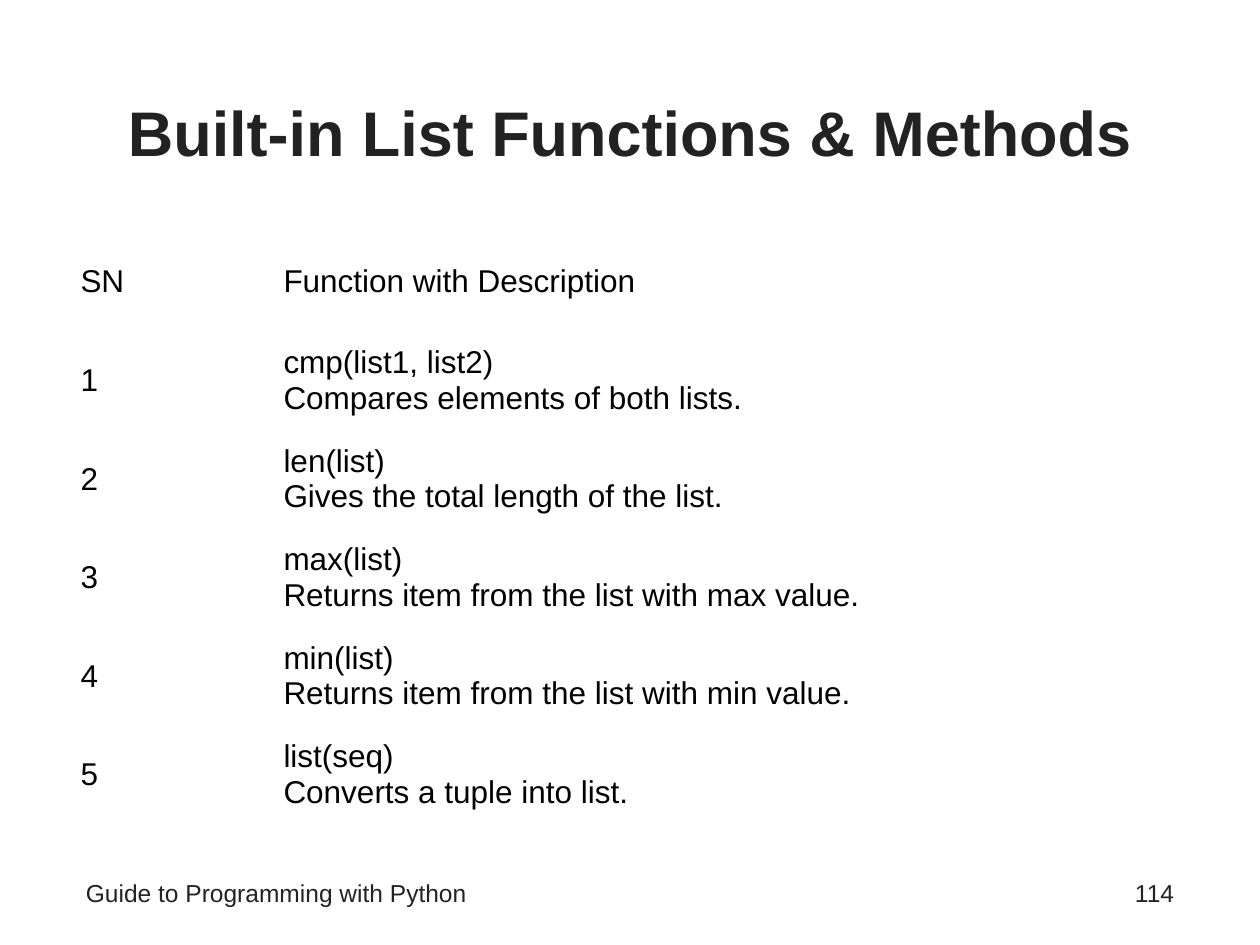
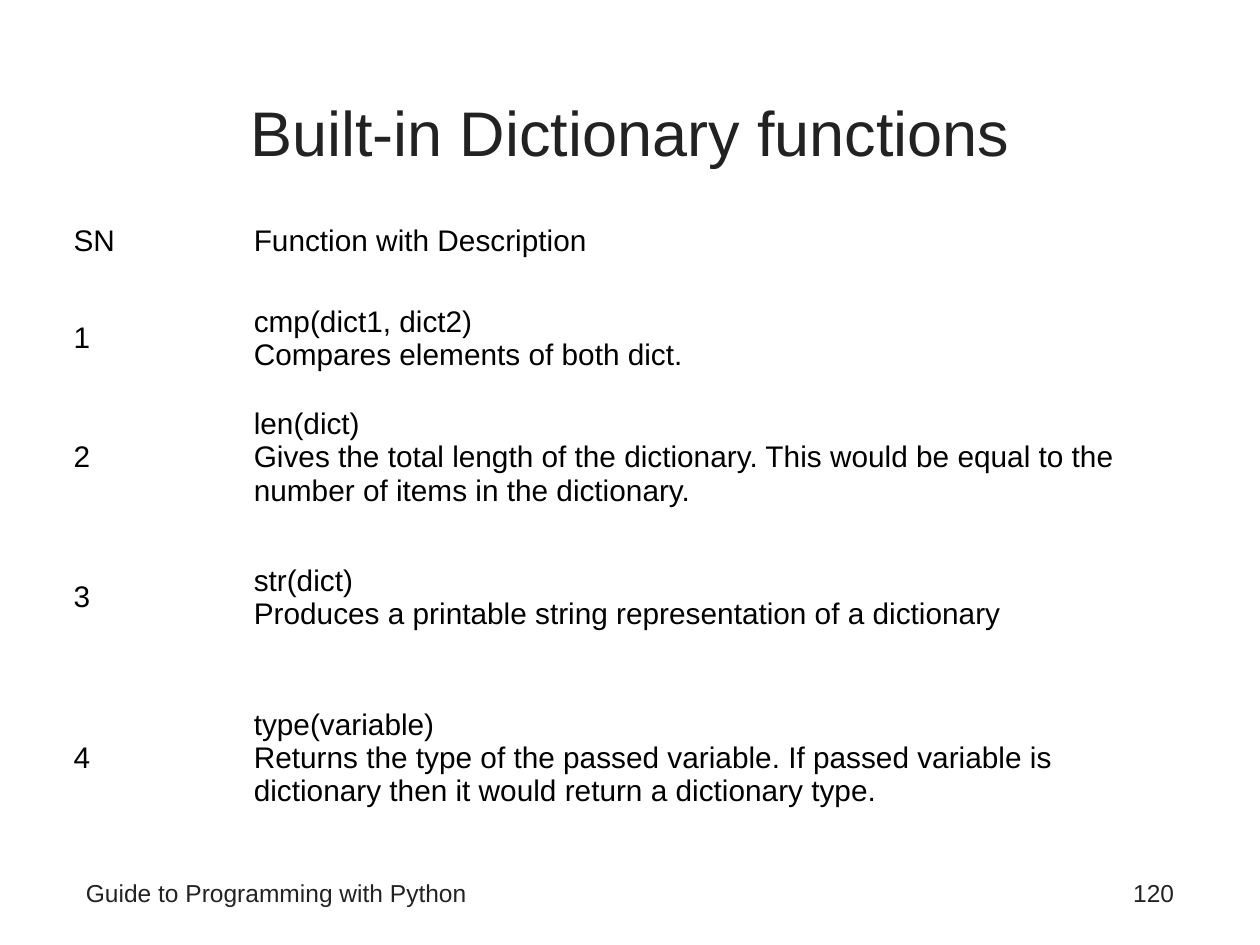
import pptx
import pptx.dml.color
import pptx.enum.text
import pptx.util

Pt = pptx.util.Pt
ALIGN = pptx.enum.text.PP_ALIGN
ANCHOR = pptx.enum.text.MSO_ANCHOR

FONT = "Arial"
INK = "222222"
BLACK = "000000"
FOOTER = "Guide to Programming with Python"
HEADER = ("SN", "Function with Description")

# Boxes are left, top, width, height in points.
TITLE_BOX = (42, 30, 636, 90)
FOOTER_BOX = (42, 498, 462, 30)
NUMBER_BOX = (516, 498, 162, 30)

LIST_FUNCTIONS = [
    ("cmp(list1, list2)", "Compares elements of both lists."),
    ("len(list)", "Gives the total length of the list."),
    ("max(list)", "Returns item from the list with max value."),
    ("min(list)", "Returns item from the list with min value."),
    ("list(seq)", "Converts a tuple into list."),
]
DICT_FUNCTIONS = [
    ("cmp(dict1, dict2)", "Compares elements of both dict."),
    ("len(dict)", "Gives the total length of the dictionary. This would be "
                  "equal to the number of items in the dictionary."),
    ("str(dict)", "Produces a printable string representation of a dictionary"),
    ("type(variable)", "Returns the type of the passed variable. If passed variable "
                       "is dictionary then it would return a dictionary type."),
]


def rgb(value):
    return pptx.dml.color.RGBColor.from_string(value)


def write(tf, text, size, color, bold=False, align=ALIGN.LEFT):
    """Fill a text frame with one paragraph; a vertical tab breaks the line."""
    tf.word_wrap = True
    p = tf.paragraphs[0]
    p.text = text
    p.alignment = align
    p.font.name = FONT
    p.font.size = Pt(size)
    p.font.bold = bold
    p.font.color.rgb = rgb(color)


def add_text(s, box, text, size, anchor=ANCHOR.TOP, **style):
    tf = s.shapes.add_textbox(*map(Pt, box)).text_frame
    tf.vertical_anchor = anchor
    write(tf, text, size, INK, **style)


def add_function_table(s, left, top, col_widths, row_heights, functions, size, inset):
    """Number the functions under a header row, with no fill or banding."""
    rows = [HEADER] + [(str(n), "\v".join(entry))
                       for n, entry in enumerate(functions, 1)]
    table = s.shapes.add_table(len(rows), len(col_widths), Pt(left), Pt(top),
                               Pt(sum(col_widths)), Pt(sum(row_heights))).table
    table.first_row = table.horz_banding = False
    for column, width in zip(table.columns, col_widths):
        column.width = Pt(width)
    for row, height, texts in zip(table.rows, row_heights, rows):
        row.height = Pt(height)
        for cell, text in zip(row.cells, texts):
            cell.fill.background()
            cell.vertical_anchor = ANCHOR.MIDDLE
            cell.margin_left = cell.margin_right = Pt(inset)
            write(cell.text_frame, text, size, BLACK)


def add_function_slide(prs, title, number, bold=False, **table):
    s = prs.slides.add_slide(prs.slide_layouts[6])
    add_text(s, TITLE_BOX, title, 36, ANCHOR.MIDDLE, bold=bold, align=ALIGN.CENTER)
    add_text(s, FOOTER_BOX, FOOTER, 14)
    add_text(s, NUMBER_BOX, number, 14, align=ALIGN.RIGHT)
    add_function_table(s, **table)


def main():
    prs = pptx.Presentation()
    prs.slide_width, prs.slide_height = Pt(720), Pt(540)
    add_function_slide(prs, "Built-in List Functions & Methods", "114", bold=True,
                       left=38.8, top=133, col_widths=[116, 545],
                       row_heights=[56.3] * 6,
                       functions=LIST_FUNCTIONS, size=18, inset=7.2)
    add_function_slide(prs, "Built-in Dictionary functions", "120",
                       left=35.3, top=110, col_widths=[103, 543],
                       row_heights=[55.5, 56, 80, 80, 103.5],
                       functions=DICT_FUNCTIONS, size=17, inset=6.75)
    prs.save("out.pptx")


if __name__ == "__main__":
    main()
